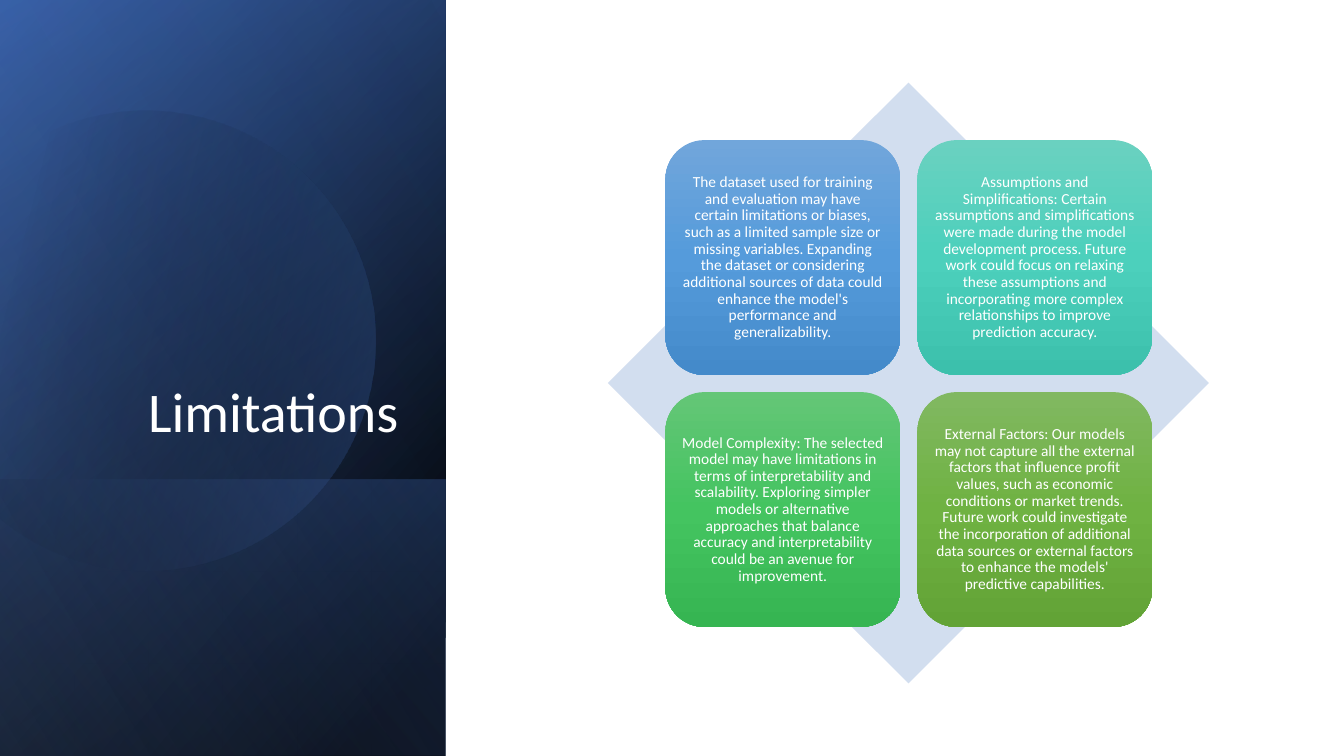
from pptx import Presentation
from pptx import util as u
from pptx.dml.color import RGBColor
from pptx.enum import shapes, text
from pptx.oxml import parse_xml
from pptx.oxml.ns import nsdecls, qn

FONT = "Calibri"
WHITE = "FFFFFF"
PANEL_W, PANEL_H = 4.42, 7.5
CARD, PITCH = 2.33, 2.5
CARDS_LEFT, CARDS_TOP = 6.6, 1.39

CARDS = [
    (("71A6DB", "559BDB", "448ACA"),
     "The dataset used for training and evaluation may have certain limitations or biases, "
     "such as a limited sample size or missing variables. Expanding the dataset or considering "
     "additional sources of data could enhance the model's performance and generalizability."),
    (("6AD1C0", "4CD0BC", "3CC0AC"),
     "Assumptions and Simplifications: Certain assumptions and simplifications were made during "
     "the model development process. Future work could focus on relaxing these assumptions and "
     "incorporating more complex relationships to improve prediction accuracy."),
    (("64C677", "44C460", "36B552"),
     "Model Complexity: The selected model may have limitations in terms of interpretability and "
     "scalability. Exploring simpler models or alternative approaches that balance accuracy and "
     "interpretability could be an avenue for improvement."),
    (("81B861", "6FB242", "62A336"),
     "External Factors: Our models may not capture all the external factors that influence profit "
     "values, such as economic conditions or market trends. Future work could investigate the "
     "incorporation of additional data sources or external factors to enhance the models' "
     "predictive capabilities."),
]


def rgb(value):
    """Turn a hex string into a colour."""
    return RGBColor.from_string(value)


def plain(sp):
    """Remove the shadow and outline of a shape."""
    sp.shadow.inherit = False
    sp.line.fill.background()


def fill_gradient(sp, stops, angle):
    """Fill a shape with (position, colour, opacity) stops, all in percent."""
    gs = "".join(
        f'<a:gs pos="{pos * 1000}"><a:srgbClr val="{colour}">'
        f'<a:alpha val="{opacity * 1000}"/></a:srgbClr></a:gs>'
        for pos, colour, opacity in stops)
    grad = parse_xml(
        f'<a:gradFill {nsdecls("a")} rotWithShape="1"><a:gsLst>{gs}</a:gsLst>'
        f'<a:lin ang="{angle * 60000}" scaled="0"/></a:gradFill>')
    sp.fill.background()
    props = sp._element.spPr
    props.replace(props.find(qn("a:noFill")), grad)


def add_panel(s, height, stops, angle):
    """Add a turned, mirrored gradient panel standing on the slide's bottom left."""
    left = (PANEL_W - height) / 2
    top = PANEL_H - (height + PANEL_W) / 2
    sp = s.shapes.add_shape(
        shapes.MSO_SHAPE.RECTANGLE, u.Inches(left), u.Inches(top),
        u.Inches(height), u.Inches(PANEL_W))
    sp.rotation = 90
    sp._element.spPr.find(qn("a:xfrm")).set("flipH", "1")
    plain(sp)
    fill_gradient(sp, stops, angle)


def add_disc(s, cx, cy, radius):
    """Add the translucent disc that is cut off along its left side."""
    sp = s.shapes.add_shape(
        shapes.MSO_SHAPE.CHORD, u.Inches(cx - radius), u.Inches(cy - radius),
        u.Inches(2 * radius), u.Inches(2 * radius))
    for index, degrees in enumerate((242, 150)):
        sp.adjustments[index] = degrees * 60000 / 100000
    sp.rotation = 343.9
    plain(sp)
    fill_gradient(sp, [(29, "000000", 0), (100, "4472C4", 43)], 30)


def write(tf, words, size, align, anchor):
    """Write one white paragraph into a text frame."""
    tf.word_wrap = True
    tf.vertical_anchor = anchor
    p = tf.paragraphs[0]
    p.alignment = align
    p.line_spacing = 0.9
    r = p.add_run()
    r.text = words
    r.font.size = u.Pt(size)
    r.font.name = FONT
    r.font.color.rgb = rgb(WHITE)


def place_title(s, words):
    """Move the title placeholder onto the panel and fill it."""
    title = s.shapes.title
    title.left, title.top = u.Inches(0.64), u.Inches(1.84)
    title.width, title.height = u.Inches(3.41), u.Inches(2.62)
    write(title.text_frame, words, 40, text.PP_ALIGN.RIGHT, text.MSO_ANCHOR.BOTTOM)
    s.shapes._spTree.append(title._element)


def add_diamond(group):
    """Add the pale diamond behind the cards."""
    sp = group.shapes.add_shape(
        shapes.MSO_SHAPE.DIAMOND, u.Inches(6.03), u.Inches(0.82),
        u.Inches(5.96), u.Inches(5.96))
    plain(sp)
    sp.fill.solid()
    sp.fill.fore_color.rgb = rgb("D2DEEF")


def add_card(group, index, colours, words):
    """Add one rounded card at its place in the two by two grid."""
    row, col = divmod(index, 2)
    sp = group.shapes.add_shape(
        shapes.MSO_SHAPE.ROUNDED_RECTANGLE, u.Inches(CARDS_LEFT + col * PITCH),
        u.Inches(CARDS_TOP + row * PITCH), u.Inches(CARD), u.Inches(CARD))
    plain(sp)
    fill_gradient(sp, [(pos, c, 100) for pos, c in zip((0, 50, 100), colours)], 90)
    tf = sp.text_frame
    tf.margin_left = tf.margin_right = tf.margin_top = tf.margin_bottom = u.Inches(0.05)
    write(tf, words, 11, text.PP_ALIGN.CENTER, text.MSO_ANCHOR.MIDDLE)


def main():
    """Build the slide and save it."""
    prs = Presentation()
    prs.slide_width, prs.slide_height = u.Inches(13.33), u.Inches(7.5)
    s = prs.slides.add_slide(prs.slide_layouts[5])
    s.background.fill.solid()
    s.background.fill.fore_color.rgb = rgb(WHITE)

    add_panel(s, PANEL_H, [(8, "000000", 100), (100, "2F5597", 100)], 50)
    add_panel(s, PANEL_H, [(0, "000000", 0), (99, "4472C4", 46)], 30)
    add_panel(s, 2.74, [(2, "4472C4", 29), (100, "000000", 30)], 130)
    add_disc(s, 1.44, 3.38, 2.28)
    add_panel(s, PANEL_H, [(0, "000000", 0), (99, "8FAADC", 11)], 120)
    place_title(s, "Limitations")

    group = s.shapes.add_group_shape()
    add_diamond(group)
    for index, (colours, words) in enumerate(CARDS):
        add_card(group, index, colours, words)
    prs.save("out.pptx")


if __name__ == "__main__":
    main()
